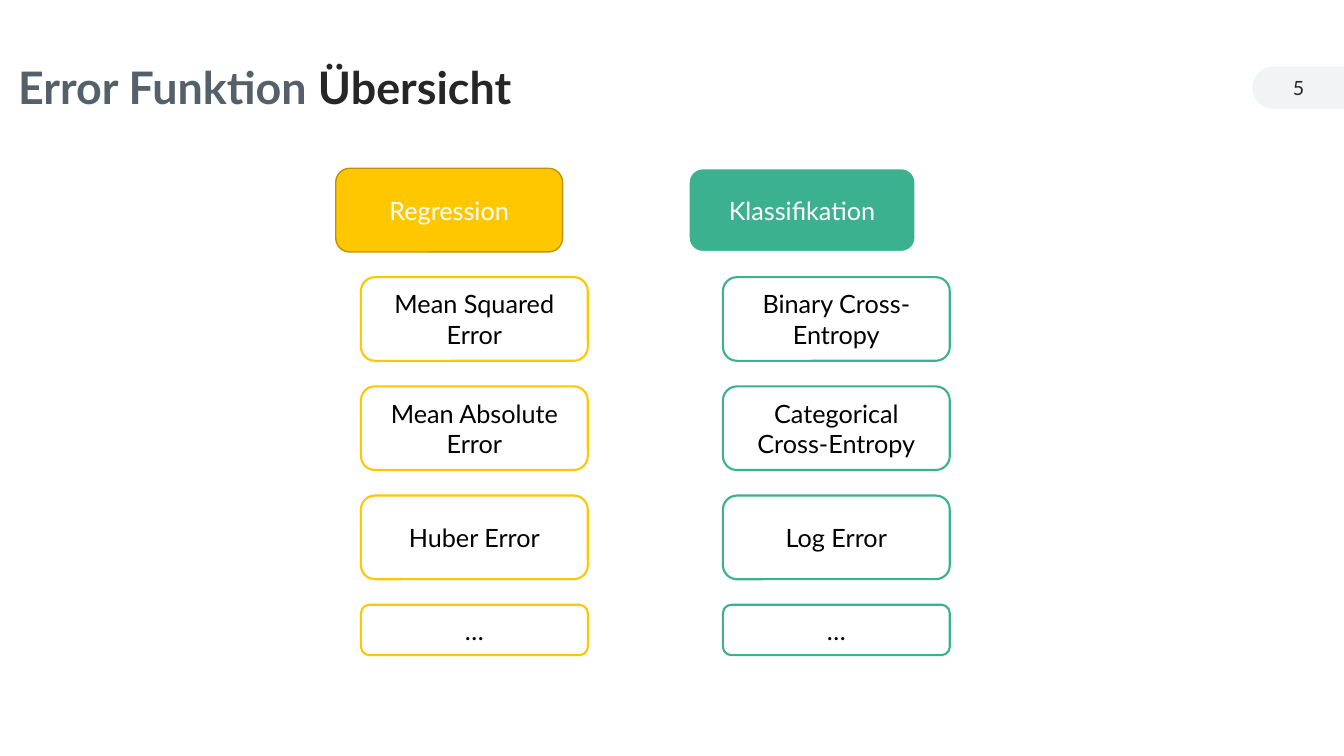
from dataclasses import dataclass
from math import cos, pi, sin

from pptx import Presentation
from pptx.dml.color import RGBColor
from pptx.enum.shapes import MSO_SHAPE as Preset
from pptx.enum.text import MSO_ANCHOR as Anchor, PP_ALIGN as Align
from pptx.util import Inches, Pt

FONT = "Lato"
YELLOW, GREEN, WHITE = "FFC700", "3BB18F", "FFFFFF"
DARK, SLATE, BLACK = "262626", "55616A", "000000"

BOX_WIDTH, BOX_HEIGHT, LAST_HEIGHT = 2.25, 0.83, 0.5
HEADER_TOP, FIRST_TOP, LAST_TOP = 1.67, 2.75, 6.0


@dataclass
class Category:
    name: str
    color: str
    border: str
    border_width: float
    header_left: float
    items_left: float
    items: list[str]


CATEGORIES = [
    Category("Regression", YELLOW, "BD9300", 1, 3.33, 3.58,
             ["Mean Squared Error", "Mean Absolute Error", "Huber Error", "…"]),
    Category("Klassifikation", GREEN, WHITE, 1.5, 6.83, 7.17,
             ["Binary Cross-Entropy", "Categorical Cross-Entropy", "Log Error", "…"]),
]


def rgb(color: str) -> RGBColor:
    return RGBColor.from_string(color)


def style_span(span, size: float, color: str, bold: bool = False) -> None:
    span.font.name = FONT
    span.font.size = Pt(size)
    span.font.bold = bold
    span.font.color.rgb = rgb(color)


def add_label(page, left: float, top: float, width: float, height: float):
    """Add a wrapped, vertically centred text box and return its paragraph."""
    box = page.shapes.add_textbox(Inches(left), Inches(top), Inches(width), Inches(height))
    frame = box.text_frame
    frame.word_wrap = True
    frame.vertical_anchor = Anchor.MIDDLE
    frame.margin_left = frame.margin_right = 0
    return frame.paragraphs[0]


def add_box(page, text: str, left: float, top: float, height: float,
            fill: str, border: str, border_width: float, color: str) -> None:
    box = page.shapes.add_shape(Preset.ROUNDED_RECTANGLE, Inches(left), Inches(top),
                                Inches(BOX_WIDTH), Inches(height))
    box.shadow.inherit = False
    box.fill.solid()
    box.fill.fore_color.rgb = rgb(fill)
    box.line.color.rgb = rgb(border)
    box.line.width = Pt(border_width)
    box.text_frame.text = text
    box.text_frame.word_wrap = True
    box.text_frame.vertical_anchor = Anchor.MIDDLE
    para = box.text_frame.paragraphs[0]
    para.alignment = Align.CENTER
    style_span(para.runs[0], 18, color)


def add_number_tab(page, number: str) -> None:
    """Draw the tab at the right edge, rounded on its left side."""
    center_x, center_y, radius, right, steps = 12.63, 0.87, 0.21, 13.33, 24
    angles = [pi / 2 + pi * step / steps for step in range(steps + 1)]
    arc = [(center_x + radius * cos(angle), center_y + radius * sin(angle)) for angle in angles]
    outline = [(right, center_y - radius), (right, center_y + radius)] + arc
    points = [(Inches(x), Inches(y)) for x, y in outline]
    builder = page.shapes.build_freeform(*points[0])
    builder.add_line_segments(points[1:], close=True)
    tab = builder.convert_to_shape()
    tab.shadow.inherit = False
    tab.fill.solid()
    tab.fill.fore_color.rgb = rgb("F1F3F5")
    tab.line.fill.background()

    para = add_label(page, 12.42, 0.67, 0.92, 0.4)
    para.text = number
    para.alignment = Align.CENTER
    style_span(para.runs[0], 14, DARK)


def add_title(page) -> None:
    para = add_label(page, 0.18, 0.45, 7.23, 0.88)
    para.line_spacing = 0.9
    for text, color in (("Error Funktion ", SLATE), ("Übersicht", DARK)):
        span = para.add_run()
        span.text = text
        style_span(span, 32, color, bold=True)


def add_category(page, category: Category) -> None:
    add_box(page, category.name, category.header_left, HEADER_TOP, BOX_HEIGHT,
            category.color, category.border, category.border_width, WHITE)
    last = len(category.items) - 1
    pitch = (LAST_TOP - FIRST_TOP) / last
    for row, item in enumerate(category.items):
        height = LAST_HEIGHT if row == last else BOX_HEIGHT
        add_box(page, item, category.items_left, FIRST_TOP + row * pitch, height,
                WHITE, category.color, 1.5, BLACK)


def main() -> None:
    deck = Presentation()
    deck.slide_width, deck.slide_height = Inches(13.33), Inches(7.5)
    page = deck.slides.add_slide(deck.slide_layouts[6])

    # Page number and title
    add_number_tab(page, "5")
    add_title(page)

    # Error functions by category
    for category in CATEGORIES:
        add_category(page, category)

    deck.save("out.pptx")


if __name__ == "__main__":
    main()
